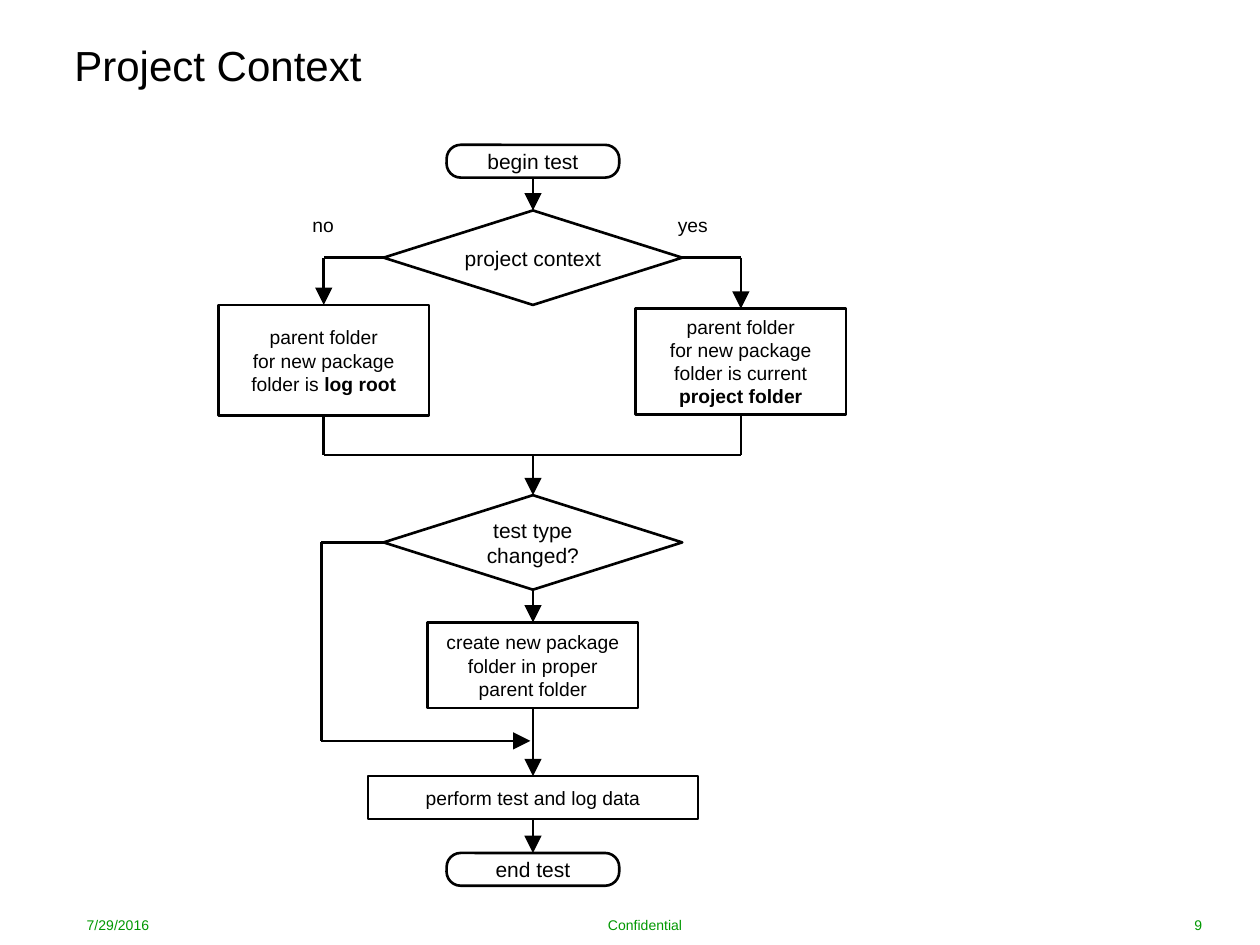
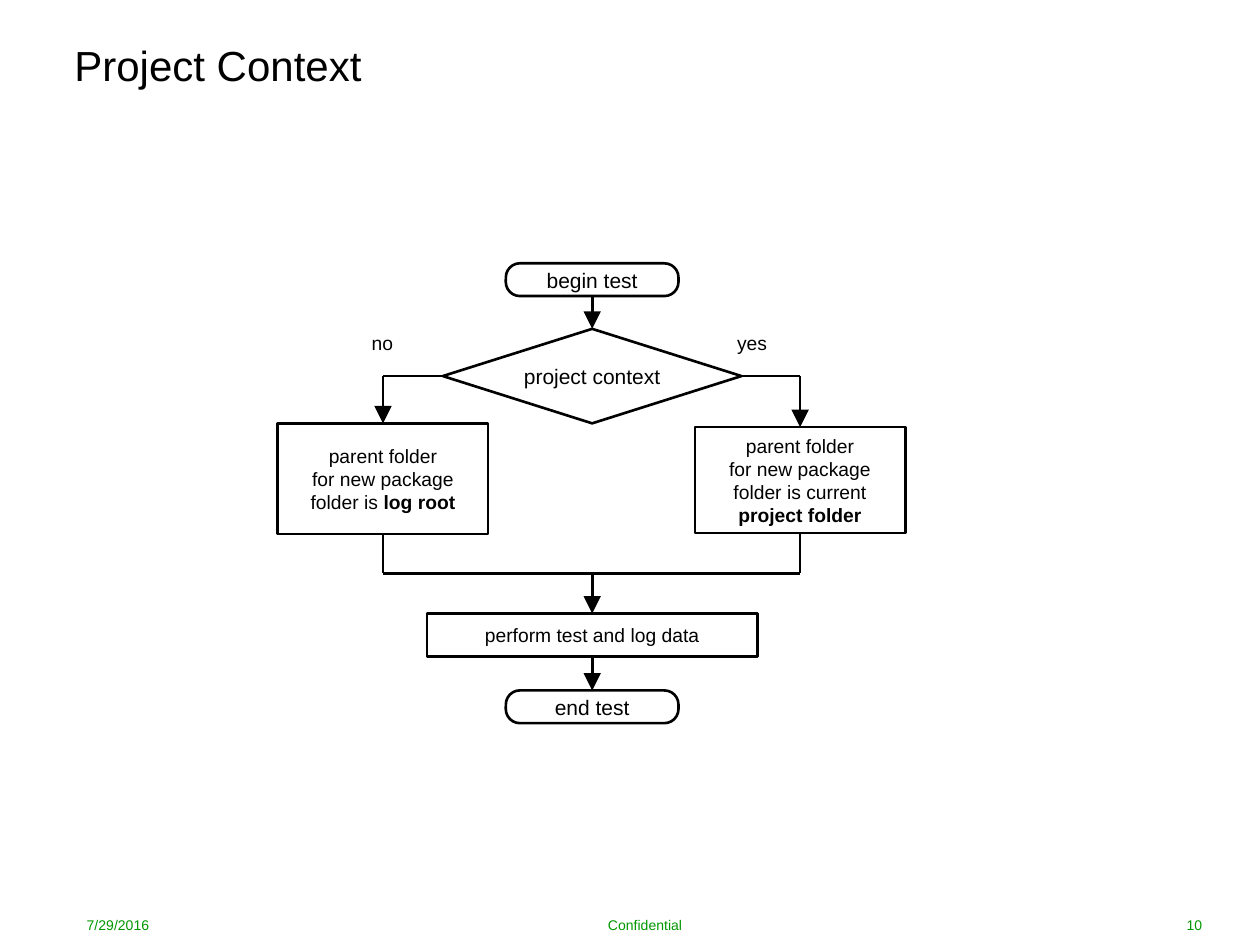
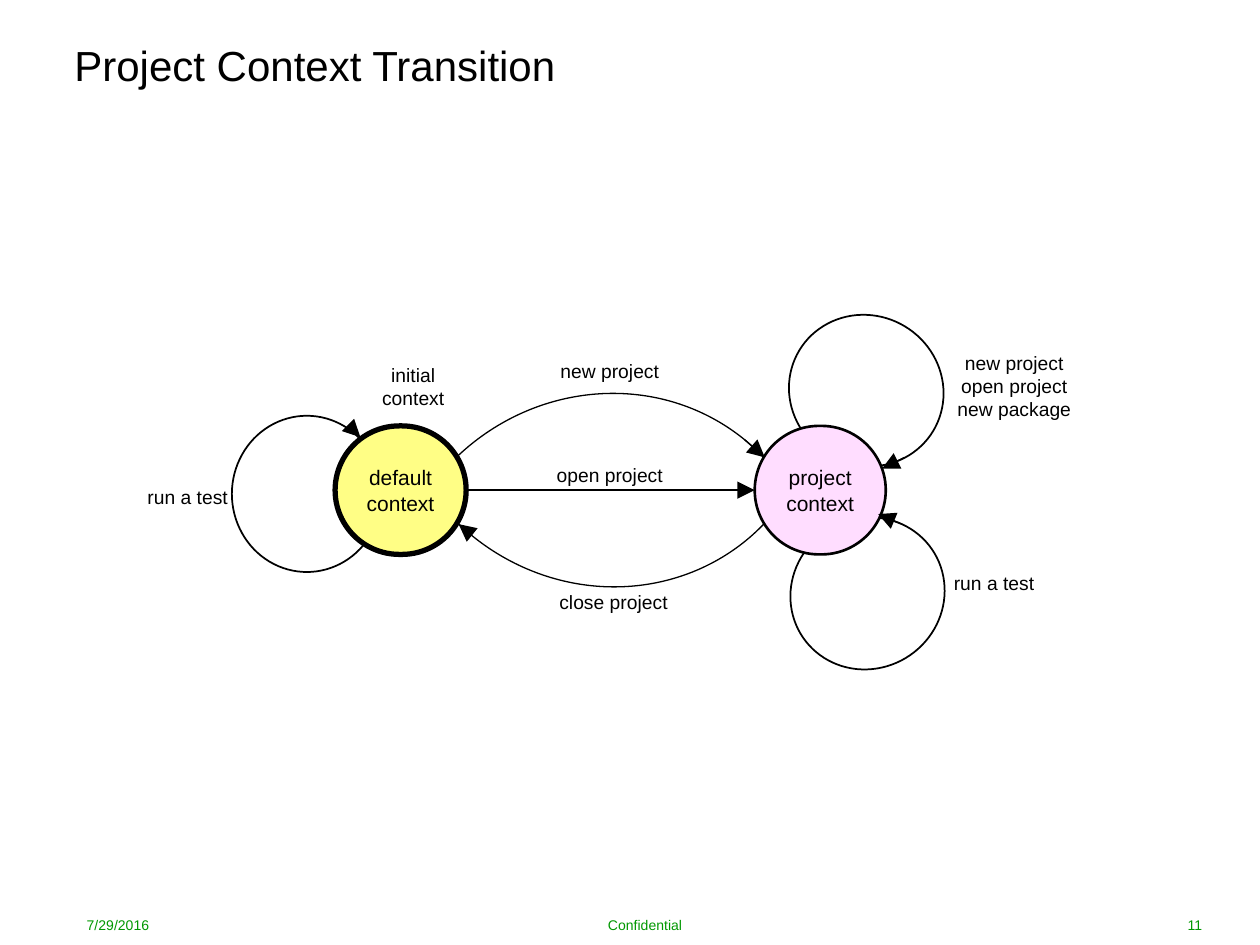
from lxml.etree import SubElement
from pptx import Presentation
from pptx.dml.color import RGBColor
from pptx.enum.shapes import MSO_CONNECTOR, MSO_SHAPE
from pptx.enum.text import MSO_ANCHOR, PP_ALIGN
from pptx.oxml.ns import qn
from pptx.util import Inches, Pt

FONT = "Arial"
BLACK, WHITE, GREEN = "000000", "FFFFFF", "009800"
YELLOW, PINK = "FFFE85", "FFDDFF"
TOP, LEFT, BOTTOM, RIGHT = range(4)

TITLES = ["Project Context", "Project Context", "Project Context Transition"]
FIRST_PAGE = 9
TITLE_AREA = (0.59, 0.2, 7.09, 0.63)
FOOTER_TOP, FOOTER_HEIGHT = 7.24, 0.2

TERMINAL = (MSO_SHAPE.ROUNDED_RECTANGLE, 1.37, 0.26, None, 12)
DECISION = (MSO_SHAPE.FLOWCHART_DECISION, 2.37, 0.75, None, 12)


def process(width, height):
    return MSO_SHAPE.RECTANGLE, width, height, WHITE, 11


SPINE, NO_BRANCH, YES_BRANCH, BYPASS = 4.23, 2.57, 5.88, 2.55
MERGE_Y, BYPASS_Y = 3.61, 5.88
STEPS = {
    "begin": (TERMINAL, SPINE, ["begin test"]),
    "context": (DECISION, SPINE, ["project context"]),
    "log root": (process(1.67, 0.88), NO_BRANCH,
                 ["parent folder", "for new package", "folder is |log root"]),
    "project folder": (process(1.67, 0.84), YES_BRANCH,
                       ["parent folder", "for new package", "folder is current",
                        "|project folder"]),
    "type changed": (DECISION, SPINE, ["test type", "changed?"]),
    "create": (process(1.67, 0.68), SPINE,
               ["create new package", "folder in proper", "parent folder"]),
    "perform": (process(2.62, 0.34), SPINE, ["perform test and log data"]),
    "end": (TERMINAL, SPINE, ["end test"]),
}
CHOICE_TOPS = {"begin": 1.15, "context": 1.67, "log root": 2.42, "project folder": 2.45}
FLOWS = [
    ((0, 0), {"type changed": 3.93, "create": 4.94, "perform": 6.16, "end": 6.77}),
    ((0.47, 0.94), {"perform": 3.93, "end": 4.54}),
]
ANSWERS = [("no", 2.48), ("yes", 5.38)]
ANSWER_TOP = 1.69

STATE_TOP, STATE_SIZE = 3.38, (1.04, 1.02)
STATES = [
    (2.66, YELLOW, 3, ["default", "context"]),
    (5.99, PINK, 1.5, ["project", "context"]),
]
TRANSITION_ARCS = [
    (3.03, 3.16, 316.6, (162, 0)),
    (3.04, 1.27, 43.4, (0, 54)),
]
SELF_LOOPS = [(1.84, 3.3, 0), (6.28, 2.48, 121), (6.29, 4.09, 55.5)]
ARROW_TIPS = [
    ((7.18, 3.63), (7, 3.72)),
    ((7.16, 4.16), (6.97, 4.08)),
    ((5.91, 3.49), (6.07, 3.63)),
    ((3.74, 4.24), (3.64, 4.16)),
    ((2.77, 3.38), (2.86, 3.47)),
]
LABEL_WIDTH, LABEL_HEIGHT = 1, 0.37
TRANSITION_LABELS = [
    (1.49, 3.76, ["run a test"]),
    (7.89, 4.44, ["run a test"]),
    (4.84, 3.58, ["open project"]),
    (4.84, 2.76, ["new project"]),
    (8.05, 2.88, ["new project", "open project", "new package"]),
    (4.87, 4.59, ["close project"]),
    (3.28, 2.88, ["initial", "context"]),
]


def color(value):
    return RGBColor.from_string(value)


def inches(values):
    return [Inches(value) for value in values]


def write(shape, lines, size, align=PP_ALIGN.CENTER, ink=BLACK,
          anchor=MSO_ANCHOR.MIDDLE, wrap=False, margin=0):
    frame = shape.text_frame
    frame.word_wrap = wrap
    frame.vertical_anchor = anchor
    frame.margin_left = frame.margin_right = Inches(margin)
    frame.margin_top = frame.margin_bottom = Inches(margin / 2)
    for index, line in enumerate(lines):
        paragraph = frame.add_paragraph() if index else frame.paragraphs[0]
        paragraph.alignment = align
        paragraph.font.name = FONT
        paragraph.font.size = Pt(size)
        paragraph.font.color.rgb = color(ink)
        plain, _, strong = line.partition("|")
        if plain:
            paragraph.add_run().text = plain
        if strong:
            run = paragraph.add_run()
            run.text = strong
            run.font.bold = True


def add_label(slide, area, lines, size=11, **style):
    write(slide.shapes.add_textbox(*inches(area)), lines, size, **style)


def add_outline(slide, kind, area, fill=None, weight=1.5):
    shape = slide.shapes.add_shape(kind, *inches(area))
    shape.shadow.inherit = False
    if fill:
        shape.fill.solid()
        shape.fill.fore_color.rgb = color(fill)
    else:
        shape.fill.background()
    shape.line.color.rgb = color(BLACK)
    shape.line.width = Pt(weight)
    return shape


def add_line(slide, start, end, arrow=False, weight=1.5):
    connector = slide.shapes.add_connector(MSO_CONNECTOR.STRAIGHT, *point(start), *point(end))
    if is_joint(start):
        connector.begin_connect(*start)
    if is_joint(end):
        connector.end_connect(*end)
    connector.line.color.rgb = color(BLACK)
    connector.line.width = Pt(weight)
    properties = connector._element.spPr
    if arrow:
        SubElement(properties.find(qn("a:ln")), qn("a:tailEnd"),
                   type="triangle", w="lg", len="lg")
    SubElement(properties, qn("a:effectLst"))


def is_joint(place):
    return hasattr(place[0], "text_frame")


def point(place):
    if not is_joint(place):
        return inches(place)
    shape, side = place
    across = {LEFT: 0, RIGHT: 2}.get(side, 1)
    down = {TOP: 0, BOTTOM: 2}.get(side, 1)
    return shape.left + shape.width * across // 2, shape.top + shape.height * down // 2


def add_page(presentation, title, number):
    slide = presentation.slides.add_slide(presentation.slide_layouts[5])
    heading = slide.shapes.title
    heading.left, heading.top, heading.width, heading.height = inches(TITLE_AREA)
    write(heading, [title], 24, PP_ALIGN.LEFT, wrap=True)
    footers = [
        ("7/29/2016", 0.59, 1.57, PP_ALIGN.LEFT),
        ("Confidential", 2.56, 5.12, PP_ALIGN.CENTER),
        (str(number), 8.07, 1.57, PP_ALIGN.RIGHT),
    ]
    for text, left, width, align in footers:
        add_label(slide, (left, FOOTER_TOP, width, FOOTER_HEIGHT), [text], 8,
                  align=align, ink=GREEN, wrap=True, margin=0.1)
    return slide


def draw_flow(slide, origin, later_tops):
    def at(x, y):
        return x + origin[0], y + origin[1]

    steps = {}
    for name, top in (CHOICE_TOPS | later_tops).items():
        (kind, width, height, fill, size), center, lines = STEPS[name]
        area = (*at(center - width / 2, top), width, height)
        steps[name] = add_outline(slide, kind, area, fill)
        if kind == MSO_SHAPE.ROUNDED_RECTANGLE:
            steps[name].adjustments[0] = 0.43
        write(steps[name], lines, size)

    context_y = CHOICE_TOPS["context"] + DECISION[2] / 2
    for name, x, side in [("log root", NO_BRANCH, LEFT), ("project folder", YES_BRANCH, RIGHT)]:
        add_line(slide, (steps["context"], side), at(x, context_y))
        add_line(slide, at(x, context_y), (steps[name], TOP), arrow=True)
        add_line(slide, (steps[name], BOTTOM), at(x, MERGE_Y))
    add_line(slide, at(YES_BRANCH, MERGE_Y), at(NO_BRANCH, MERGE_Y))

    later = list(later_tops)
    add_line(slide, at(SPINE, MERGE_Y), (steps[later[0]], TOP), arrow=True)
    for upper, lower in [("begin", "context"), *zip(later, later[1:])]:
        add_line(slide, (steps[upper], BOTTOM), (steps[lower], TOP), arrow=True)

    if "type changed" in steps:
        changed_y = later_tops["type changed"] + DECISION[2] / 2
        add_line(slide, (steps["type changed"], LEFT), at(BYPASS, changed_y))
        add_line(slide, at(BYPASS, changed_y), at(BYPASS, BYPASS_Y))
        add_line(slide, at(BYPASS, BYPASS_Y), at(SPINE - 0.02, BYPASS_Y), arrow=True)

    for answer, left in ANSWERS:
        add_label(slide, (*at(left, ANSWER_TOP), 1, 0.14), [answer],
                  align=PP_ALIGN.LEFT, anchor=MSO_ANCHOR.TOP)


def draw_transitions(slide):
    for left, top, rotation, angles in TRANSITION_ARCS:
        arc = add_outline(slide, MSO_SHAPE.ARC, (left, top, 3.51, 3.35), weight=0.75)
        arc.rotation = rotation
        arc.adjustments[0], arc.adjustments[1] = angles
    for left, top, rotation in SELF_LOOPS:
        loop = add_outline(slide, MSO_SHAPE.OVAL, (left, top, 1.19, 1.24), weight=1)
        loop.rotation = rotation
    states = []
    for left, fill, weight, lines in STATES:
        state = add_outline(slide, MSO_SHAPE.ROUNDED_RECTANGLE,
                            (left, STATE_TOP, *STATE_SIZE), fill, weight)
        state.adjustments[0] = 0.5
        write(state, lines, 12)
        states.append(state)
    default, project = states
    add_line(slide, (default, RIGHT), (project, LEFT), arrow=True, weight=0.75)
    for start, end in ARROW_TIPS:
        add_line(slide, start, end, arrow=True, weight=0.75)
    for center, top, lines in TRANSITION_LABELS:
        add_label(slide, (center - LABEL_WIDTH / 2, top, LABEL_WIDTH, LABEL_HEIGHT), lines)


def main():
    presentation = Presentation()
    presentation.slide_width, presentation.slide_height = inches((10, 7.5))
    pages = [add_page(presentation, title, number)
             for number, title in enumerate(TITLES, FIRST_PAGE)]
    for slide, (origin, later_tops) in zip(pages, FLOWS):
        draw_flow(slide, origin, later_tops)
    draw_transitions(pages[-1])
    presentation.save("out.pptx")


if __name__ == "__main__":
    main()
